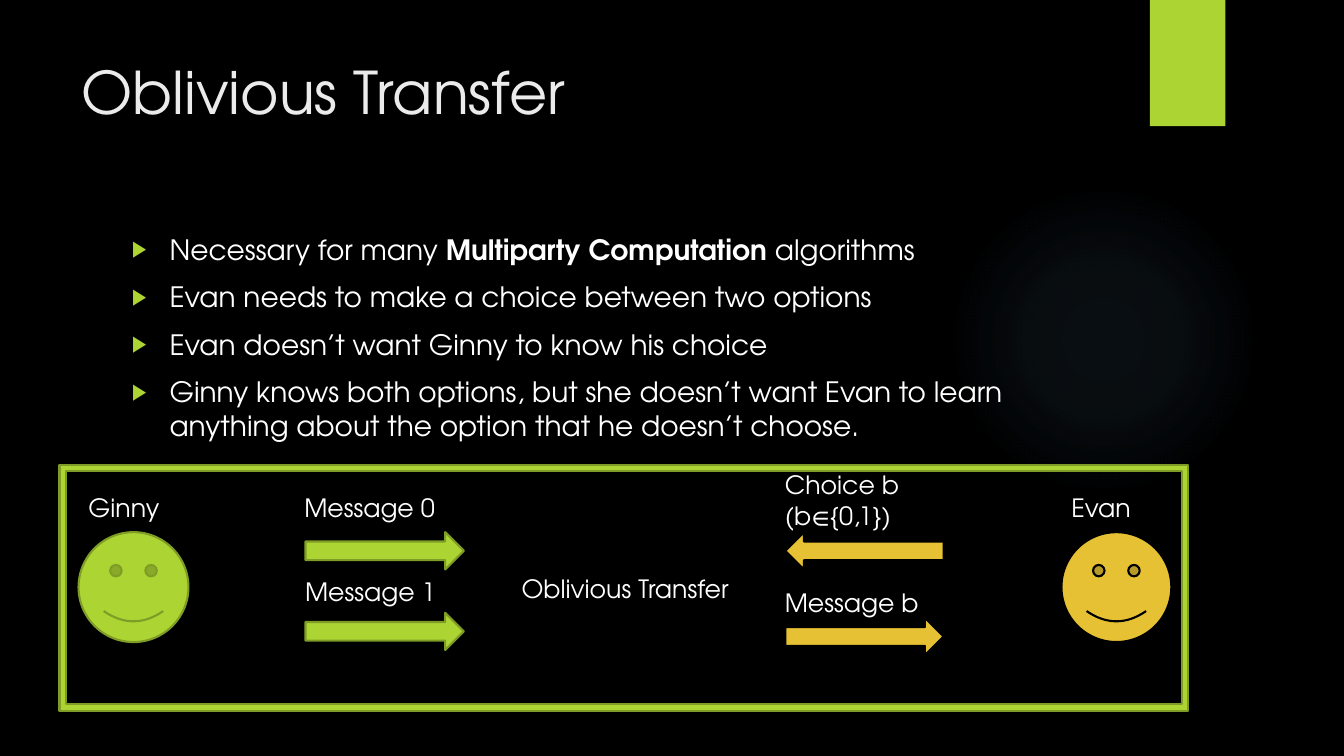
from lxml import etree
from pptx import Presentation
from pptx import util as u
from pptx.dml.color import RGBColor
from pptx.enum import shapes, text
from pptx.oxml import ns

LIME, LIME_EDGE, GOLD = "ACD433", "7F9D26", "E6C133"
BLACK, WHITE, TITLE_GREY, GLOW = "000000", "FFFFFF", "EBEBEB", "7AC4F0"
FORM = shapes.MSO_SHAPE


def color(hex_string):
    return RGBColor.from_string(hex_string)


def set_values(target, values):
    for name, value in values.items():
        setattr(target, name, value)


def add_xml(parent, tag, **attributes):
    return etree.SubElement(parent, ns.qn(tag), attributes)


class SlideBuilder:
    font = "TeX Gyre Adventor"

    def __init__(self, slide):
        self.slide = slide
        slide.background.fill.solid()
        slide.background.fill.fore_color.rgb = color(BLACK)

    def place(self, shape, box):
        names = ("left", "top", "width", "height")
        set_values(shape, dict(zip(names, map(u.Cm, box))))

    def run(self, paragraph, words, size, hex_color=WHITE, bold=False):
        run = paragraph.add_run()
        run.text = words
        set_values(run.font, {"name": self.font, "size": u.Pt(size), "bold": bold})
        run.font.color.rgb = color(hex_color)

    def placeholder(self, shape, box):
        """Move a placeholder to the front and give it plain top-left text."""
        self.place(shape, box)
        self.slide.shapes._spTree.append(shape._element)
        set_values(shape.text_frame, {
            "word_wrap": True,
            "auto_size": text.MSO_AUTO_SIZE.NONE,
            "vertical_anchor": text.MSO_ANCHOR.TOP,
        })
        return shape.text_frame

    def title(self, words, box):
        paragraph = self.placeholder(self.slide.shapes.title, box).paragraphs[0]
        paragraph.alignment = text.PP_ALIGN.LEFT
        self.run(paragraph, words, 42, TITLE_GREY)

    def bullets(self, items, box):
        frame = self.placeholder(self.slide.placeholders[1], box)
        for index, item in enumerate(items):
            paragraph = frame.add_paragraph() if index else frame.paragraphs[0]
            set_values(paragraph, {"space_before": u.Pt(10), "space_after": u.Pt(0)})
            properties = paragraph._p.get_or_add_pPr()
            properties.set("marL", str(u.Cm(0.95)))
            properties.set("indent", str(u.Cm(-0.95)))
            add_xml(add_xml(properties, "a:buClr"), "a:srgbClr", val=LIME)
            add_xml(properties, "a:buSzPct", val="80000")
            add_xml(properties, "a:buFont", typeface="Arial")
            add_xml(properties, "a:buChar", char="▶")
            for words, bold in item:
                self.run(paragraph, words, 20, bold=bold)

    def shape(self, form, box, fill, line=None, rotation=0):
        shape = self.slide.shapes.add_shape(form, *map(u.Cm, box))
        set_values(shape, {"rotation": rotation})
        shape.shadow.inherit = False
        shape.fill.solid()
        shape.fill.fore_color.rgb = color(fill)
        if line:
            shape.line.color.rgb = color(line)
            shape.line.width = u.Pt(1.5)
        else:
            shape.line.fill.background()
        return shape

    def glow(self, box, hex_color, stops):
        """Ellipse with a circular gradient; stops are (position %, opacity %)."""
        shape = self.shape(FORM.OVAL, box, hex_color)
        properties = shape._element.spPr
        solid = properties.find(ns.qn("a:solidFill"))
        gradient = etree.Element(ns.qn("a:gradFill"), rotWithShape="1")
        stop_list = add_xml(gradient, "a:gsLst")
        for position, opacity in stops:
            stop = add_xml(stop_list, "a:gs", pos=str(position * 1000))
            tint = add_xml(stop, "a:srgbClr", val=hex_color)
            add_xml(tint, "a:alpha", val=str(opacity * 1000))
        circle = add_xml(gradient, "a:path", path="circle")
        add_xml(circle, "a:fillToRect", l="50000", t="50000", r="50000", b="50000")
        properties.replace(solid, gradient)

    def label(self, words, left, top, width, height=1.02):
        box = self.slide.shapes.add_textbox(*map(u.Cm, (left, top, width, height)))
        box.text_frame.word_wrap = True
        self.run(box.text_frame.paragraphs[0], words, 18)


def main():
    presentation = Presentation()
    set_values(presentation, {"slide_width": u.Cm(33.87), "slide_height": u.Cm(19.05)})
    builder = SlideBuilder(presentation.slides.add_slide(presentation.slide_layouts[1]))

    # Decoration
    builder.glow((23.9, 4.65, 7.82, 7.82), GLOW, [(0, 7), (36, 6), (69, 0), (100, 0)])
    builder.shape(FORM.RECTANGLE, (28.98, 0, 1.9, 3.18), LIME)

    # Title and list
    builder.title("Oblivious Transfer", (1.8, 1.27, 26.14, 3.89))
    builder.bullets([
        [("Necessary for many ", False), ("Multiparty Computation", True),
         (" algorithms", False)],
        [("Evan needs to make a choice between two options", False)],
        [("Evan doesn’t want Ginny to know his choice", False)],
        [("Ginny knows both options, but she doesn’t want Evan to learn "
          "anything about the option that he doesn’t choose.", False)],
    ], (3.07, 5.72, 24.84, 11.66))

    # Protocol box
    protocol = builder.shape(FORM.RECTANGLE, (11.96, 12.27, 7.59, 5.11), BLACK, BLACK)
    protocol.text_frame.vertical_anchor = text.MSO_ANCHOR.MIDDLE
    paragraph = protocol.text_frame.paragraphs[0]
    paragraph.alignment = text.PP_ALIGN.CENTER
    builder.run(paragraph, "Oblivious Transfer", 18)

    # Two parties
    for name, left, fill, line in (("Ginny", 1.98, LIME, LIME_EDGE),
                                   ("Evan", 26.75, GOLD, BLACK)):
        builder.shape(FORM.SMILEY_FACE, (left, 13.41, 2.77, 2.77), fill, line)
        builder.label(name, left, 12.27, 3.76)

    # Messages
    for left, top, fill, line, rotation in ((7.7, 13.41, LIME, LIME_EDGE, 0),
                                            (7.7, 15.44, LIME, LIME_EDGE, 0),
                                            (19.79, 15.57, GOLD, BLACK, 0),
                                            (19.79, 13.41, GOLD, BLACK, 180)):
        builder.shape(FORM.RIGHT_ARROW, (left, top, 3.99, 0.94), fill, line, rotation)
    for words, left, top, height in (("Message 0", 7.42, 12.27, 1.02),
                                     ("Message 1", 7.44, 14.4, 1.02),
                                     ("Choice b (b∈{0,1})", 19.53, 11.71, 1.8),
                                     ("Message b", 19.53, 14.68, 1.02)):
        builder.label(words, left, top, 3.99, height)

    # Surrounding frame
    frame = builder.shape(FORM.FRAME, (1.5, 11.71, 28.45, 6.2), LIME, LIME_EDGE)
    frame.adjustments[0] = 0.026

    presentation.save("out.pptx")


if __name__ == "__main__":
    main()
